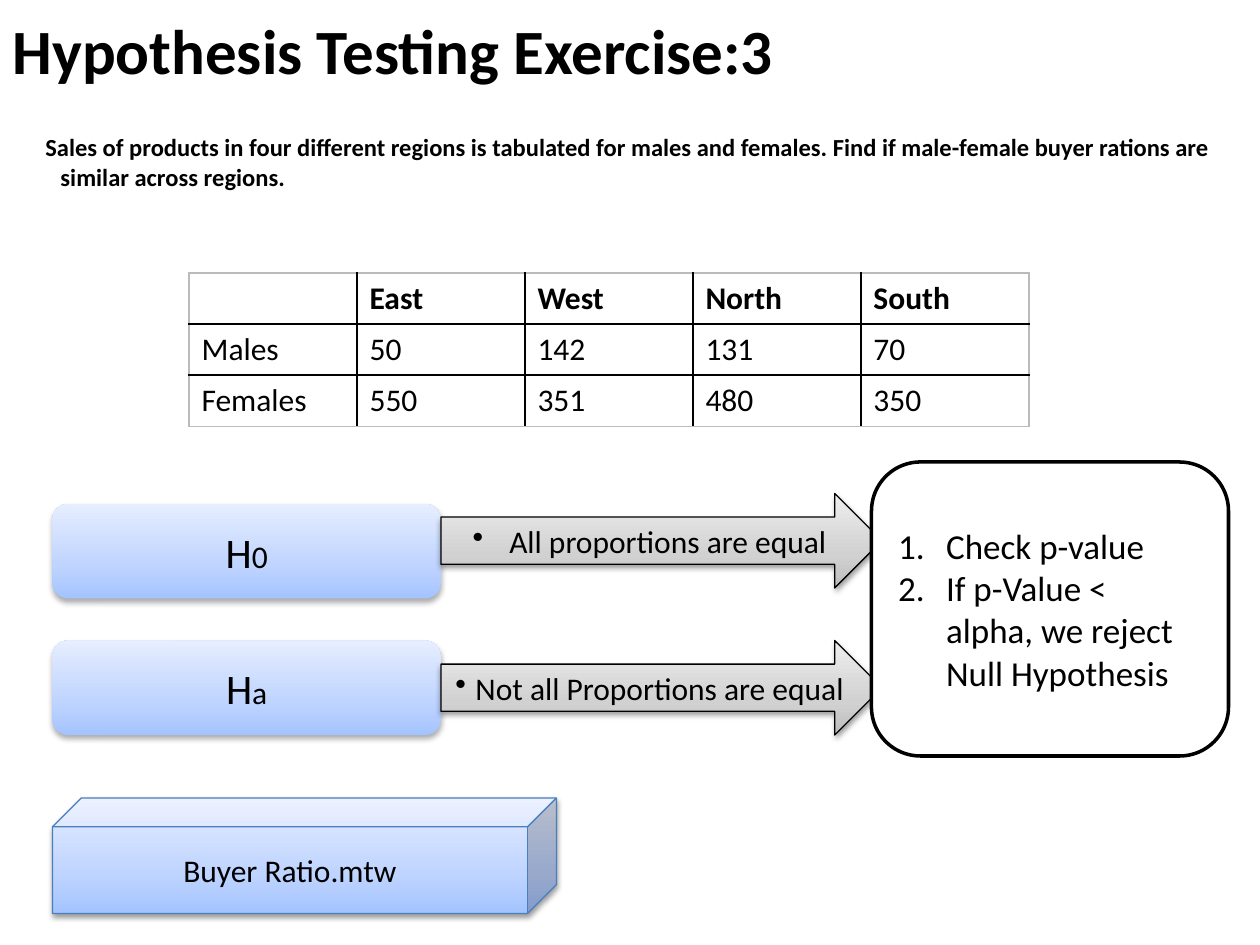
from copy import deepcopy

from pptx import Presentation
from pptx.dml.color import RGBColor
from pptx.enum.shapes import MSO_SHAPE
from pptx.enum.text import MSO_ANCHOR, PP_ALIGN
from pptx.oxml import parse_xml
from pptx.oxml.ns import nsdecls, qn
from pptx.util import Inches, Pt

WIDE, HIGH = Inches(10), Inches(7.5)
COLS, ROWS = 120, 90

BLACK = RGBColor(0x00, 0x00, 0x00)
WHITE = RGBColor(0xFF, 0xFF, 0xFF)
EDGE = RGBColor(0x4B, 0x7E, 0xBC)
PALE = RGBColor(0xBB, 0xBB, 0xBB)
BLUES = [
    (0, RGBColor(0xA4, 0xC4, 0xFF)),
    (0.35, RGBColor(0xBF, 0xD4, 0xFF)),
    (1, RGBColor(0xE6, 0xEE, 0xFF)),
]
GREYS = [
    (0, RGBColor(0xBD, 0xBD, 0xBD)),
    (0.35, RGBColor(0xD1, 0xD1, 0xD1)),
    (1, RGBColor(0xEE, 0xEE, 0xEE)),
]

SOFT = {"blur": 3.5, "dist": 2.2, "alpha": 32}
FIRM = {"blur": 3.15, "dist": 1.57, "alpha": 38}

TITLE = "Hypothesis Testing Exercise:3"
TASK = (
    "Sales of products in four different regions is tabulated for males and "
    "females. Find if male-female buyer rations are similar across regions."
)
SALES = [
    ["", "East", "West", "North", "South"],
    ["Males", "50", "142", "131", "70"],
    ["Females", "550", "351", "480", "350"],
]
CLAIMS = [
    (48, 47, "0", "All proportions are equal", 0.29),
    (61, 61, "a", "Not all Proportions are equal", 0.16),
]
STEPS = ["Check p-value", "If p-Value < alpha, we reject Null Hypothesis"]


def area(col, row, cols, rows):
    return (
        int(WIDE * col / COLS),
        int(HIGH * row / ROWS),
        int(WIDE * cols / COLS),
        int(HIGH * rows / ROWS),
    )


def style(item, **values):
    for name, value in values.items():
        setattr(item, name, value)


def write(para, text, size, bold=False):
    run = para.add_run()
    run.text = text
    style(run.font, name="Calibri", size=Pt(size), bold=bold)
    run.font.color.rgb = BLACK


def mark(para, bullet, left, first):
    props = para._p.get_or_add_pPr()
    props.set("marL", str(Inches(left)))
    props.set("indent", str(Inches(first)))
    props.append(parse_xml(bullet.replace("/>", f" {nsdecls('a')}/>")))


def place(slide, index, box, text, size):
    holder = slide.placeholders[index]
    left, top, width, height = box
    style(holder, left=left, top=top, width=width, height=height)
    para = holder.text_frame.paragraphs[0]
    para.alignment = PP_ALIGN.LEFT
    write(para, text, size, True)
    return holder


def shade(shape, stops):
    fill = shape.fill
    fill.gradient()
    fill.gradient_angle = 90
    items = next(shape.element.iter(qn("a:gsLst")))
    items.append(deepcopy(items[-1]))
    for stop, (spot, color) in zip(fill.gradient_stops, stops):
        stop.position = spot
        stop.color.rgb = color


def cast(shape, blur, dist, alpha):
    glow = parse_xml(
        f'<a:outerShdw {nsdecls("a")} blurRad="{Pt(blur)}" dist="{Pt(dist)}" '
        'dir="5400000" rotWithShape="0"><a:srgbClr val="000000">'
        f'<a:alpha val="{alpha * 1000}"/></a:srgbClr></a:outerShdw>'
    )
    shape.element.spPr.find(qn("a:effectLst")).append(glow)


def block(slide, kind, box, stops=None, line=None, thick=0.75, shadow=None):
    shape = slide.shapes.add_shape(kind, *box)
    shape.shadow.inherit = False
    if stops:
        shade(shape, stops)
    else:
        shape.fill.solid()
        shape.fill.fore_color.rgb = WHITE
    if line is None:
        shape.line.fill.background()
    else:
        shape.line.color.rgb = line
        shape.line.width = Pt(thick)
    if shadow:
        cast(shape, **shadow)
    style(shape.text_frame, word_wrap=True, vertical_anchor=MSO_ANCHOR.MIDDLE)
    para = shape.text_frame.paragraphs[0]
    para.alignment = PP_ALIGN.CENTER
    return shape.text_frame, para


def rule(cell, side, color):
    cell._tc.get_or_add_tcPr().append(parse_xml(
        f'<a:ln{side} {nsdecls("a")} w="{Pt(1)}"><a:solidFill>'
        f'<a:srgbClr val="{color}"/></a:solidFill></a:ln{side}>'
    ))


def table(slide, box, data):
    deep, span = len(data), len(data[0])
    grid = slide.shapes.add_table(deep, span, *box).table
    for r, line in enumerate(data):
        for c, text in enumerate(line):
            cell = grid.cell(r, c)
            outer = {"L": c == 0, "R": c == span - 1, "T": r == 0, "B": r == deep - 1}
            for side, out in outer.items():
                rule(cell, side, PALE if out else BLACK)
            cell.fill.background()
            if text:
                write(cell.text_frame.paragraphs[0], text, 18, r == 0)


def claim(slide, row, tip, sign, text, hang):
    _, para = block(slide, MSO_SHAPE.ROUNDED_RECTANGLE, area(5, row, 37, 9),
                    BLUES, shadow=SOFT)
    write(para, "H", 24)
    write(para, sign, 18)
    _, para = block(slide, MSO_SHAPE.RIGHT_ARROW, area(42, tip, 42, 9),
                    GREYS, BLACK, shadow=FIRM)
    mark(para, '<a:buChar char="•"/>', hang, -hang)
    write(para, text, 18)


def advice(slide, box, steps):
    frame, para = block(slide, MSO_SHAPE.ROUNDED_RECTANGLE, box, line=BLACK, thick=2)
    for i, text in enumerate(steps):
        para = frame.add_paragraph() if i else para
        para.alignment = PP_ALIGN.LEFT
        mark(para, '<a:buAutoNum type="arabicPeriod"/>', 0.38, -0.38)
        write(para, text, 20)


def main():
    deck = Presentation()
    style(deck, slide_width=WIDE, slide_height=HIGH)
    slide = deck.slides.add_slide(deck.slide_layouts[1])
    head = place(slide, 0, area(0, 0, 108, 9.4), TITLE, 36)
    head.text_frame.vertical_anchor = MSO_ANCHOR.MIDDLE
    body = place(slide, 1, area(0, 12, 118, 75), TASK, 14)
    mark(body.text_frame.paragraphs[0], "<a:buNone/>", 0.38, -0.12)
    table(slide, area(18, 26, 80, 14.6), SALES)
    for row in CLAIMS:
        claim(slide, *row)
    advice(slide, area(83, 44, 34, 28), STEPS)
    _, para = block(slide, MSO_SHAPE.CUBE, area(5, 76, 48, 11),
                    BLUES, EDGE, shadow=FIRM)
    write(para, "Buyer Ratio.mtw", 18)
    deck.save("out.pptx")


if __name__ == "__main__":
    main()
